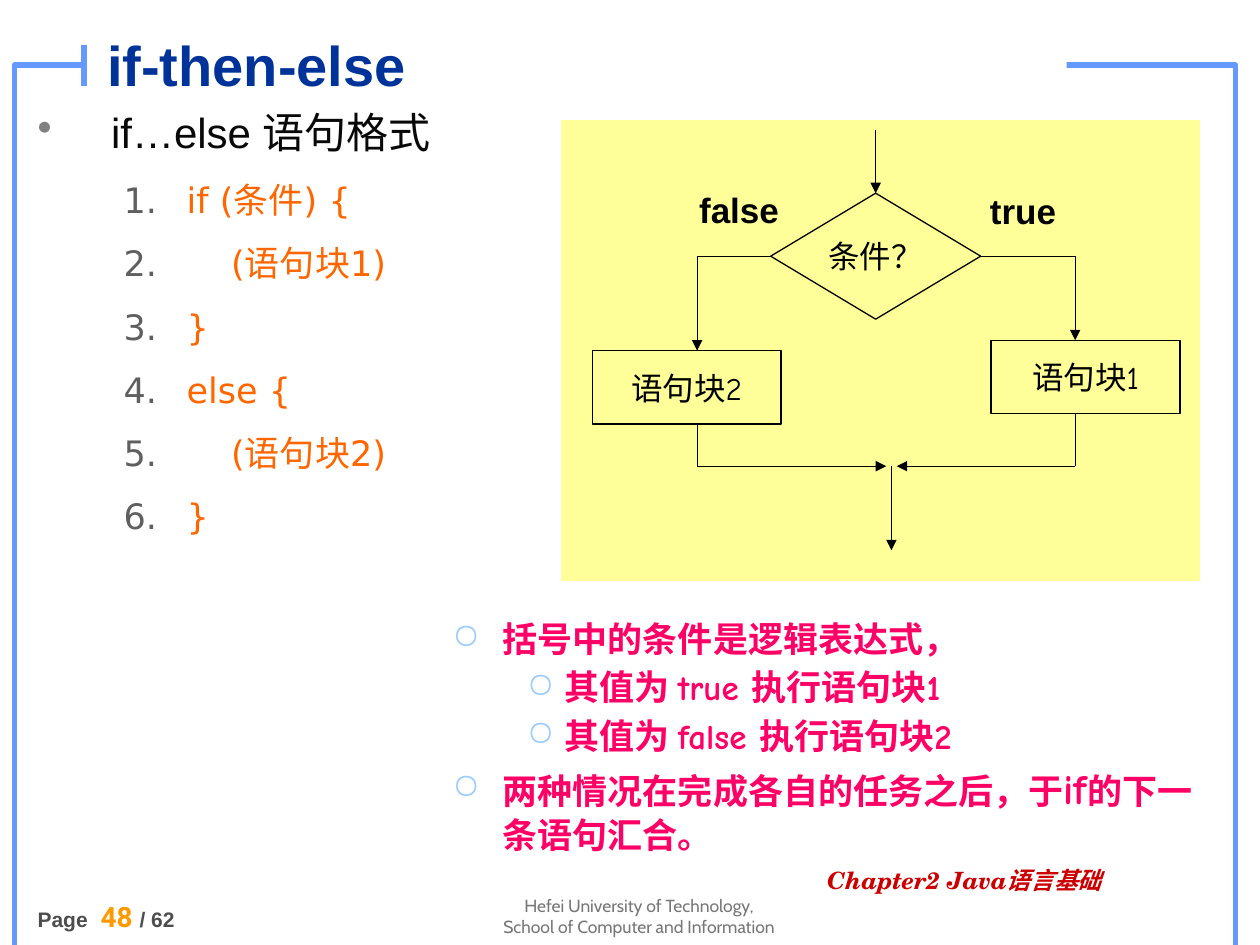
from dataclasses import dataclass
from typing import Any, Optional

import pptx
import pptx.dml.color
import pptx.enum.dml
import pptx.enum.shapes
import pptx.enum.text
import pptx.oxml
import pptx.oxml.ns
import pptx.util

COLUMNS, ROWS = 120, 90
WIDTH, HEIGHT = pptx.util.Inches(10), pptx.util.Inches(7.5)
SHAPES = pptx.enum.shapes.MSO_SHAPE
ALIGN = pptx.enum.text.PP_ALIGN
ANCHOR = pptx.enum.text.MSO_ANCHOR


@dataclass(frozen=True)
class Style:
    face: str
    size: float
    color: str
    bold: bool = False
    italic: bool = False


@dataclass(frozen=True)
class Theme:
    frame: str = "6699FF"
    paper: str = "FFFFFF"
    panel: str = "FFFF99"
    ink: str = "000000"
    thin: float = 0.75
    thick: float = 3
    title: Style = Style("Arial", 32, "003399", True)
    heading: Style = Style("Arial", 24, "080808")
    code: Style = Style("DejaVu Sans", 20, "FF6600")
    node: Style = Style("Comic Neue", 18, "000000")
    branch: Style = Style("Arial", 20, "000000", True)
    note: Style = Style("Comic Neue", 20, "FF0066", True)
    keyword: Style = Style("Comic Neue", 24, "FF0066", True)
    chapter: Style = Style("TeX Gyre Schola", 13.6, "CC0000", True, True)
    school: Style = Style("Cabin", 10, "777777")
    page: Style = Style("Arial", 12, "4D4D4D", True)
    number: Style = Style("Roboto", 16, "FF9900", True)


@dataclass(frozen=True)
class Bullet:
    margin: float
    hanging: float
    color: str
    mark: str = ""
    level: int = 0


@dataclass(frozen=True)
class Area:
    column: float
    row: float
    columns: float
    rows: float

    def lengths(self) -> tuple[int, int, int, int]:
        return (across(self.column), down(self.row),
                across(self.columns), down(self.rows))


@dataclass(frozen=True)
class Node:
    kind: Any
    area: Area
    text: str


@dataclass(frozen=True)
class Link:
    start: tuple[float, float]
    end: tuple[float, float]
    arrow: bool = False
    begin_side: Optional[int] = None
    end_side: Optional[int] = None


THEME = Theme()
PANEL = Area(53.4, 11.4, 61, 44)
TOPIC = Bullet(7, 7, "808080", "•")
STEP = Bullet(14.2, 6, "5F5F5F", level=1)
POINT = Bullet(4.8, 4.8, "99CCFF", "○")
SUBPOINT = Bullet(10.7, 3.6, "99CCFF", "○", 1)

CODE = ["if (条件) {", "    (语句块1)", "}", "else {", "    (语句块2)", "}"]
NOTES = [("括号中的条件是逻辑表达式，", POINT),
         ("其值为 true 执行语句块1", SUBPOINT),
         ("其值为 false 执行语句块2", SUBPOINT),
         ("两种情况在完成各自的任务之后，于", POINT)]
DECISION = Node(SHAPES.FLOWCHART_DECISION, Area(20, 7, 20, 12), "条件？")
BLOCKS = [Node(SHAPES.RECTANGLE, Area(3, 22, 18, 7), "语句块2"),
          Node(SHAPES.RECTANGLE, Area(41, 21, 18, 7), "语句块1")]
BRANCHES = [("true", Area(39.7, 6.1, 13.2, 5.3)),
            ("false", Area(12, 6, 10, 5.3))]
LINKS = [Link((30, 1), (30, 7), True, end_side=0),
         Link((20, 13), (13, 13), begin_side=1),
         Link((40, 13), (49, 13), begin_side=3),
         Link((13, 13), (13, 22), True),
         Link((49, 13), (49, 21), True),
         Link((13, 29), (13, 33)),
         Link((49, 28), (49, 33)),
         Link((13, 33), (31, 33), True),
         Link((49, 33), (32, 33), True),
         Link((31.5, 33), (31.5, 41), True)]


def across(columns: float) -> int:
    return round(WIDTH * columns / COLUMNS)


def down(rows: float) -> int:
    return round(HEIGHT * rows / ROWS)


def in_panel(area: Area) -> Area:
    return Area(PANEL.column + area.column, PANEL.row + area.row, area.columns, area.rows)


def rgb(color: str) -> pptx.dml.color.RGBColor:
    return pptx.dml.color.RGBColor.from_string(color)


def add_element(parent: Any, tag: str, **attributes: str) -> Any:
    child = pptx.oxml.parse_xml(f"<{tag} {pptx.oxml.ns.nsdecls('a')}/>")
    for name, value in attributes.items():
        child.set(name, value)
    parent.append(child)
    return child


def set_bullet(para: Any, bullet: Bullet) -> None:
    para.level = bullet.level
    properties = para._p.get_or_add_pPr()
    properties.set("marL", str(across(bullet.margin)))
    properties.set("indent", str(-across(bullet.hanging)))
    add_element(add_element(properties, "a:buClr"), "a:srgbClr", val=bullet.color)
    if bullet.mark:
        add_element(properties, "a:buChar", char=bullet.mark)
    else:
        add_element(properties, "a:buAutoNum", type="arabicPeriod")


def write(box: Any, text: str, *, style: Style, bullet: Optional[Bullet] = None,
          align: Any = ALIGN.LEFT, spacing: float = 1, before: float = 0,
          joined: bool = False) -> None:
    frame = box.text_frame
    para = frame.paragraphs[-1]
    if not joined:
        first = not para.runs
        para = para if first else frame.add_paragraph()
        if bullet:
            set_bullet(para, bullet)
        para.alignment = align
        para.line_spacing = spacing
        para.space_before = pptx.util.Pt(0 if first else before)
    span = para.add_run()
    span.text = text
    span.font.name = style.face
    span.font.size = pptx.util.Pt(style.size)
    span.font.bold = style.bold
    span.font.italic = style.italic
    span.font.color.rgb = rgb(style.color)


def add_box(page: Any, area: Area) -> Any:
    box = page.shapes.add_textbox(*area.lengths())
    box.text_frame.word_wrap = True
    return box


def add_outline(page: Any, kind: Any, area: Area, *, fill: Optional[str] = None,
                line: Optional[str] = None, weight: float = THEME.thin) -> Any:
    shape = page.shapes.add_shape(kind, *area.lengths())
    shape.shadow.inherit = False
    for part, color in ((shape.fill, fill), (shape.line.fill, line)):
        if color:
            part.solid()
            part.fore_color.rgb = rgb(color)
        else:
            part.background()
    if line:
        shape.line.width = pptx.util.Pt(weight)
    return shape


def add_line(page: Any, start: tuple[float, float], end: tuple[float, float], *,
             color: str = THEME.ink, weight: float = THEME.thin, arrow: bool = False) -> Any:
    line = page.shapes.add_connector(
        pptx.enum.shapes.MSO_CONNECTOR.STRAIGHT,
        across(start[0]), down(start[1]), across(end[0]), down(end[1]))
    line.line.color.rgb = rgb(color)
    line.line.width = pptx.util.Pt(weight)
    if arrow:
        add_element(line.line._get_or_add_ln(), "a:tailEnd", type="triangle")
    add_element(line._element.spPr, "a:effectLst")
    return line


def add_node(page: Any, node: Node) -> Any:
    shape = add_outline(page, node.kind, in_panel(node.area), fill=THEME.panel, line=THEME.ink)
    shape.text_frame.word_wrap = False
    shape.text_frame.vertical_anchor = ANCHOR.MIDDLE
    write(shape, node.text, style=THEME.node, align=ALIGN.CENTER)
    return shape


def draw_frame(page: Any) -> None:
    add_outline(page, SHAPES.RECTANGLE, Area(1.4, 6.2, 116.3, 84.7 - 6.2 + 6.2),
                line=THEME.frame, weight=THEME.thick)
    add_outline(page, SHAPES.RECTANGLE, Area(8, 3.4, 93.6, 4.2), fill=THEME.paper)
    add_line(page, (8, 4.3), (8, 8.2), color=THEME.frame, weight=THEME.thick)
    school = add_box(page, Area(45.6, 84.6, 30.5, 5.4))
    for text in ("Hefei University of Technology,", "School of Computer and Information"):
        write(school, text, style=THEME.school, align=ALIGN.CENTER)
    counter = add_box(page, Area(2.4, 85.1, 21.7, 4.9))
    write(counter, "Page ", style=THEME.page)
    write(counter, " 48 ", style=THEME.number, joined=True)
    write(counter, "/ 62", style=THEME.page, joined=True)


def draw_title(page: Any) -> None:
    title = page.shapes.title
    title.left, title.top, title.width, title.height = Area(9, 1.3, 81.2, 9.6).lengths()
    title.text_frame.vertical_anchor = ANCHOR.MIDDLE
    title.text_frame.auto_size = pptx.enum.text.MSO_AUTO_SIZE.NONE
    write(title, "if-then-else", style=THEME.title)
    title.element.getparent().append(title.element)


def draw_flow(page: Any) -> None:
    add_outline(page, SHAPES.RECTANGLE, PANEL, fill=THEME.panel, line=THEME.paper)
    decision = add_node(page, DECISION)
    for block in BLOCKS:
        add_node(page, block)
    for link in LINKS:
        start, end = ((PANEL.column + column, PANEL.row + row)
                      for column, row in (link.start, link.end))
        line = add_line(page, start, end, arrow=link.arrow)
        if link.begin_side is not None:
            line.begin_connect(decision, link.begin_side)
        if link.end_side is not None:
            line.end_connect(decision, link.end_side)
    for text, area in BRANCHES:
        label = add_outline(page, SHAPES.RECTANGLE, in_panel(area), fill=THEME.panel)
        label.text_frame.vertical_anchor = ANCHOR.TOP
        write(label, text, style=THEME.branch)


def draw_text(page: Any) -> None:
    body = add_box(page, Area(2.4, 10.1, 56.2, 51))
    write(body, "if…else 语句格式", style=THEME.heading, bullet=TOPIC, spacing=0.9)
    for text in CODE:
        write(body, text, style=THEME.code, bullet=STEP, spacing=1.4, before=2.5)
    notes = add_box(page, Area(41.9, 58.2, 73, 25.6))
    for text, bullet in NOTES:
        write(notes, text, style=THEME.note, bullet=bullet, before=3.7)
    write(notes, "if", style=THEME.keyword, joined=True)
    write(notes, "的下一条语句汇合。", style=THEME.note, joined=True)
    chapter = add_box(page, Area(77.6, 82.2, 36.8, 4.2))
    write(chapter, "Chapter2 Java语言基础", style=THEME.chapter, spacing=0.9)


def main() -> None:
    deck = pptx.Presentation()
    deck.slide_width, deck.slide_height = WIDTH, HEIGHT
    page = deck.slides.add_slide(deck.slide_layouts.get_by_name("Title Only"))
    draw_frame(page)
    draw_title(page)
    draw_text(page)
    draw_flow(page)
    deck.save("out.pptx")


if __name__ == "__main__":
    main()
